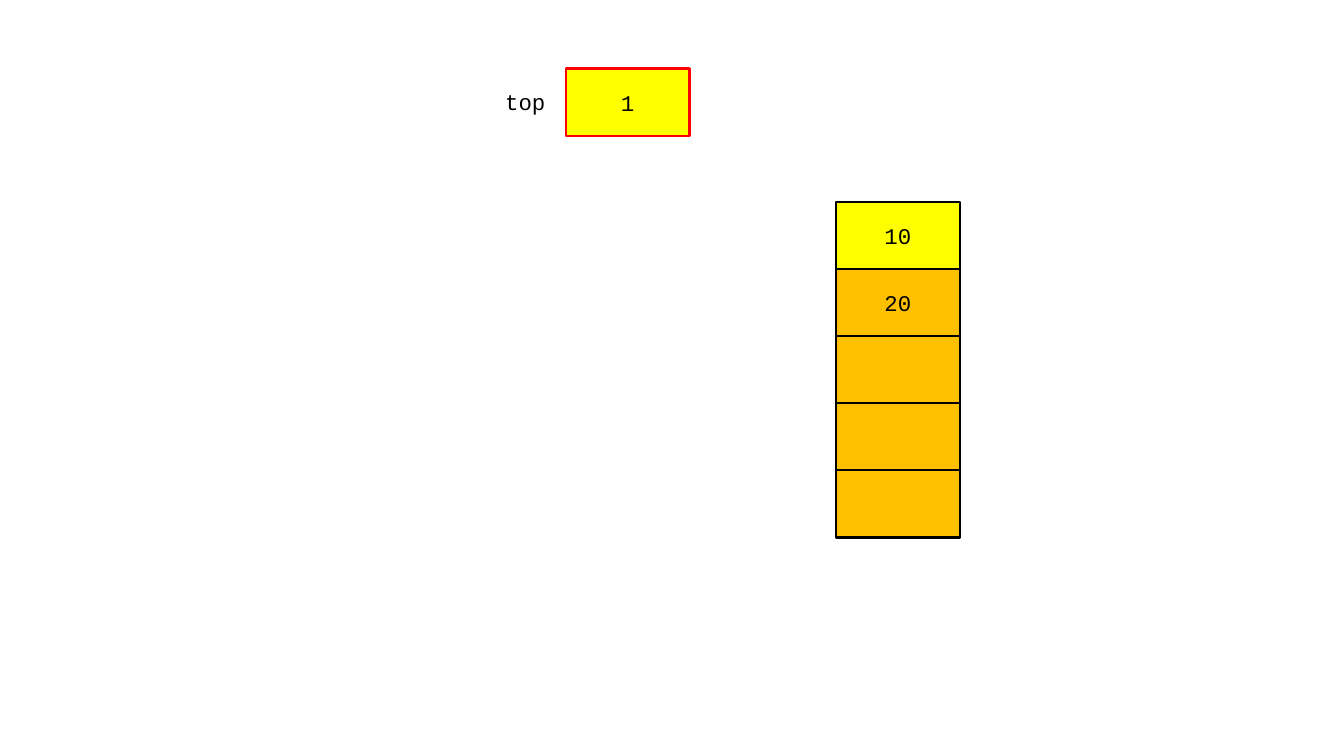
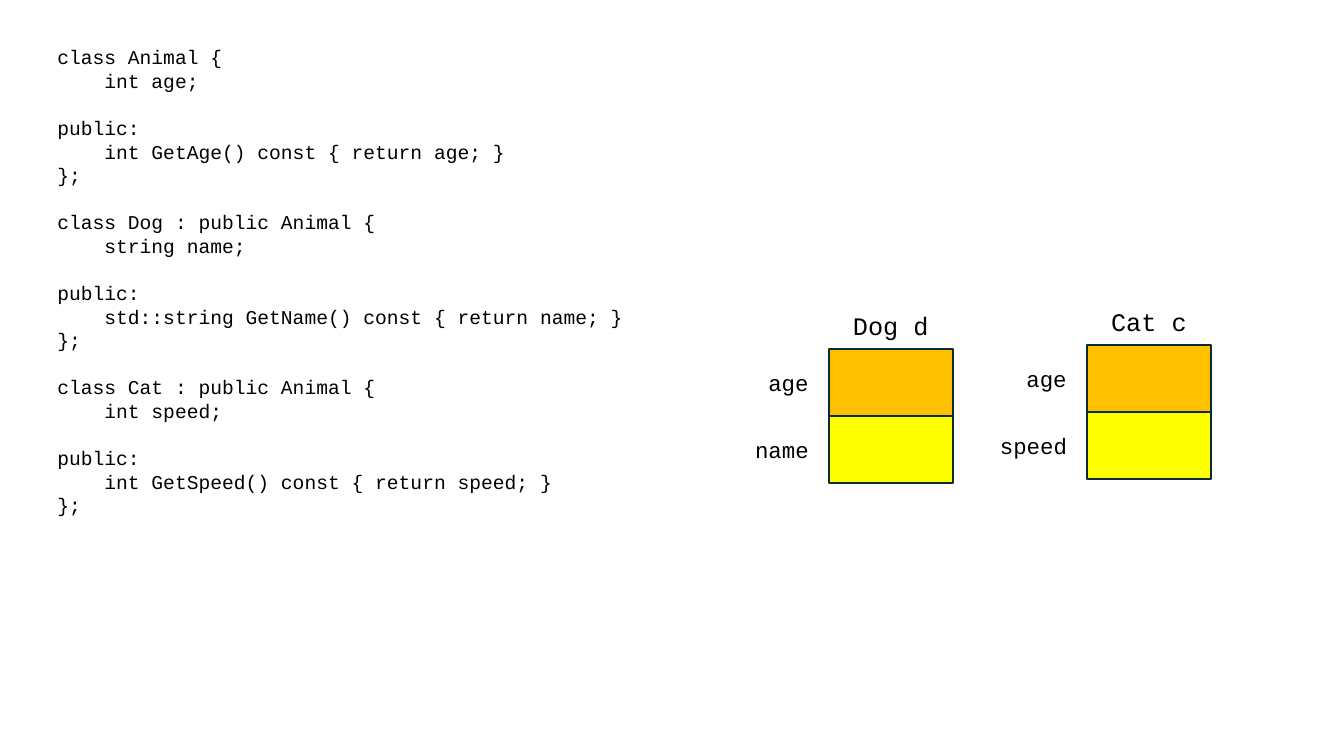
from pptx import Presentation
from pptx.dml.color import RGBColor
from pptx.enum import shapes, text
from pptx.util import Inches, Pt

FONT = "Courier New"
BLACK, RED, NAVY = "000000", "FF0000", "092A39"
YELLOW, ORANGE = "FFFF00", "FFC000"
CELL_W, CELL_H = 1.23, 2 / 3
CODE_LINE = 16.85

ANIMAL_CODE = """\
class Animal {
    int age;

public:
    int GetAge() const { return age; }
};

class Dog : public Animal {
    string name;

public:
    std::string GetName() const { return name; }
};

class Cat : public Animal {
    int speed;

public:
    int GetSpeed() const { return speed; }
};"""


def color(hex_code):
    return RGBColor.from_string(hex_code)


def format_paragraph(paragraph, content, size=16, align=text.PP_ALIGN.CENTER):
    paragraph.alignment = align
    run = paragraph.add_run()
    run.text = content
    run.font.name = FONT
    run.font.size = Pt(size)
    run.font.color.rgb = color(BLACK)


def add_text(slide, left, top, width, height, content="", **style):
    """Add a text box that fits its text and return its frame."""
    box = slide.shapes.add_textbox(
        Inches(left), Inches(top), Inches(width), Inches(height))
    frame = box.text_frame
    frame.word_wrap = True
    frame.auto_size = text.MSO_AUTO_SIZE.SHAPE_TO_FIT_TEXT
    if content:
        format_paragraph(frame.paragraphs[0], content, **style)
    return frame


def add_cell(slide, left, top, fill, value="", label="", border=BLACK):
    """Add a memory cell with its value inside and its label to the left."""
    cell = slide.shapes.add_shape(
        shapes.MSO_SHAPE.RECTANGLE,
        Inches(left), Inches(top), Inches(CELL_W), Inches(CELL_H))
    cell.shadow.inherit = False
    cell.fill.solid()
    cell.fill.fore_color.rgb = color(fill)
    cell.line.color.rgb = color(border)
    cell.line.width = Pt(1.5)
    if value:
        cell.text_frame.vertical_anchor = text.MSO_ANCHOR.MIDDLE
        format_paragraph(cell.text_frame.paragraphs[0], value)
    if label:
        width = 0.35 + 0.13 * len(label)
        add_text(slide, left - 0.03 - width, top + 0.15, width, 0.37, label)


def add_stack(slide, left, top, values, size):
    """Add a column of cells, the first of them highlighted."""
    for row in range(size):
        add_cell(slide, left, top + row * CELL_H,
                 ORANGE if row else YELLOW,
                 values[row] if row < len(values) else "")


def add_object(slide, left, top, title, fields):
    """Add an object's layout: the inherited field, then its own."""
    for row, (field, fill) in enumerate(zip(fields, (ORANGE, YELLOW))):
        add_cell(slide, left, top + row * CELL_H, fill,
                 label=field, border=NAVY)
    add_text(slide, left, top - 0.43, CELL_W, 0.4, title, size=18)


def add_code(slide, left, top, width, height, code):
    """Add a listing; an empty line becomes space before the next line."""
    frame = add_text(slide, left, top, width, height)
    paragraph = frame.paragraphs[0]
    for number, block in enumerate(code.split("\n\n")):
        for row, line in enumerate(block.split("\n")):
            if number or row:
                paragraph = frame.add_paragraph()
            paragraph.line_spacing = Pt(CODE_LINE)
            if number and not row:
                paragraph.space_before = Pt(CODE_LINE)
            format_paragraph(paragraph, line, size=14,
                             align=text.PP_ALIGN.LEFT)


def build_stack_slide(slide):
    add_stack(slide, 8.29, 2, ["10", "20"], size=5)
    add_cell(slide, 5.61, 0.68, YELLOW, "1", label="top", border=RED)


def build_inheritance_slide(slide):
    add_code(slide, 0.47, 0.4, 6.67, 4.81, ANIMAL_CODE)
    add_object(slide, 8.22, 3.46, "Dog d", ["age", "name"])
    add_object(slide, 10.78, 3.42, "Cat c", ["age", "speed"])


def main():
    deck = Presentation()
    deck.slide_width, deck.slide_height = Inches(13.33), Inches(7.5)
    for build in (build_stack_slide, build_inheritance_slide):
        build(deck.slides.add_slide(deck.slide_layouts[6]))
    deck.save("out.pptx")


if __name__ == "__main__":
    main()
